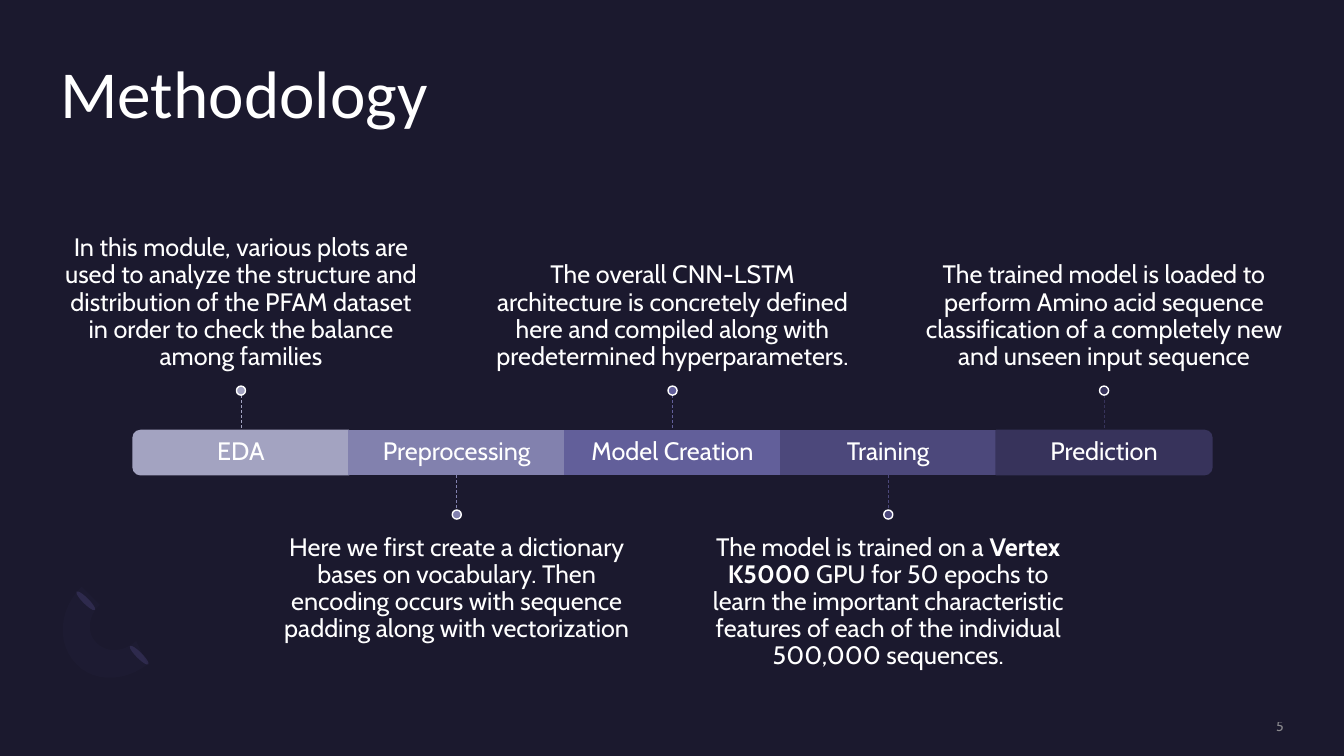
from dataclasses import dataclass
from typing import Any

from pptx import Presentation
from pptx import util as u
from pptx.dml import color as col
from pptx.enum import dml, shapes as sh, text as tx
from pptx.oxml import ns, xmlchemy as xc

INK = {
    "back": "1B192E", "text": "FFFFFF", "page": "A6A6A6",
    "petal": "2C284A", "arc": "7771B2",
    "eda": "A3A3C1", "prep": "8281AE", "model": "625F9A",
    "train": "4C487B", "pred": "37335B",
}
Point = tuple[float, float]
Box = tuple[float, float, float, float]
KIND = sh.MSO_SHAPE
LEFT, TOP, WIDE, HIGH = 1.32, 4.27, 2.14, 0.44
STEM, DOT = 0.35, 0.09
NOTE_W, NOTE_H = 3.57, 1.52
BODY = {"size": u.Pt(18), "name": "Cabin"}
HEAD = {"size": u.Pt(48), "name": "Calibri"}
PAGE = {"size": u.Pt(10), "name": "Cabin"}
MID = {"align": tx.PP_ALIGN.CENTER, "space": 0.9}


@dataclass
class Step:
    name: str
    ink: str
    note: list[str]
    above: bool
    kind: Any = KIND.RECTANGLE
    turn: int = 0


STEPS = [
    Step("EDA", "eda", [
        "In this module, various plots are used to analyze the structure and "
        "distribution of the PFAM dataset in order to check the balance among families"],
        True, KIND.ROUND_2_SAME_RECTANGLE, 270),
    Step("Preprocessing", "prep", [
        "Here we first create a dictionary bases on vocabulary. Then encoding "
        "occurs with sequence padding along with vectorization"], False),
    Step("Model Creation", "model", [
        "The overall CNN-LSTM architecture is concretely defined here and "
        "compiled along with predetermined hyperparameters."], True),
    Step("Training", "train", [
        "The model is trained on a ", "Vertex K5000",
        " GPU for 50 epochs to learn the important characteristic features of "
        "each of the individual 500,000 sequences."], False),
    Step("Prediction", "pred", [
        "The trained model is loaded to perform Amino acid sequence "
        "classification of a completely new and unseen input sequence"],
        True, KIND.ROUND_2_SAME_RECTANGLE, 90),
]


def tint(ink: str) -> col.RGBColor:
    return col.RGBColor.from_string(INK[ink])


def apply(item: Any, form: dict[str, Any]) -> None:
    for key, value in form.items():
        setattr(item, key, value)


def fade(shape: Any, share: int) -> None:
    for node in shape._element.iter(ns.qn("a:srgbClr")):
        xc.OxmlElement("a:alpha")
        alpha = node.makeelement(ns.qn("a:alpha"), {"val": str(share * 1000)})
        node.append(alpha)


def paint(shape: Any, fill: str, edge: str | None = None) -> None:
    shape.shadow.inherit = False
    shape.fill.solid()
    shape.fill.fore_color.rgb = tint(fill)
    if edge:
        shape.line.color.rgb = tint(edge)
        shape.line.width = u.Pt(1)
    else:
        shape.line.fill.background()


def block(slide: Any, kind: Any, box: Box, fill: str,
          edge: str | None = None, turn: int = 0) -> None:
    shape = slide.shapes.add_shape(kind, *map(u.Inches, box))
    shape.rotation = turn
    paint(shape, fill, edge)


def words(slide: Any, box: Box, parts: list[str], font: dict[str, Any],
          ink: str = "text", anchor: Any = tx.MSO_ANCHOR.MIDDLE,
          align: Any = tx.PP_ALIGN.CENTER, space: float = 0.9,
          pad: Point = (0, 0)) -> Any:
    shape = slide.shapes.add_textbox(*map(u.Inches, box))
    frame = shape.text_frame
    apply(frame, {
        "word_wrap": True, "vertical_anchor": anchor,
        "margin_left": 0, "margin_right": 0,
        "margin_top": u.Inches(pad[0]), "margin_bottom": u.Inches(pad[1]),
    })
    para = frame.paragraphs[0]
    apply(para, {"alignment": align, "line_spacing": space})
    for spot, part in enumerate(parts):
        run = para.add_run()
        run.text = part
        apply(run.font, font | {"bold": spot == 1})
        run.font.color.rgb = tint(ink)
    return shape


def stem(slide: Any, x: float, y: float, ink: str) -> None:
    line = slide.shapes.add_connector(
        sh.MSO_CONNECTOR.STRAIGHT, *map(u.Inches, (x, y, x, y + STEM)))
    line.line.color.rgb = tint(ink)
    apply(line.line, {"width": u.Pt(0.5), "dash_style": dml.MSO_LINE.DASH})
    line._element.spPr.append(xc.OxmlElement("a:effectLst"))


def curve(a: Point, b: Point, c: Point, d: Point) -> list[Point]:
    def blend(t: float, axis: int) -> float:
        s = 1 - t
        return (s**3 * a[axis] + 3 * s * s * t * b[axis]
                + 3 * s * t * t * c[axis] + t**3 * d[axis])
    return [(blend(i / 12, 0), blend(i / 12, 1)) for i in range(1, 13)]


def decor(slide: Any) -> None:
    for x, y in ((1.35, 6.37), (0.82, 5.83)):
        block(slide, KIND.OVAL, (x, y, 0.06, 0.26), "petal", turn=135)
    start = (0.76, 6.59)
    points = [
        *curve(start, (0.56, 6.39), (0.58, 6.05), (0.81, 5.82)),
        *curve((0.99, 6), (0.87, 6.11), (0.86, 6.29), (0.96, 6.38)),
        *curve((0.96, 6.38), (1.06, 6.48), (1.23, 6.47), (1.35, 6.36)),
        *curve((1.52, 6.54), (1.3, 6.76), (0.95, 6.79), start),
    ]
    points.insert(12, (0.99, 6))
    pen = slide.shapes.build_freeform(*map(u.Inches, start))
    pen.add_line_segments([(u.Inches(x), u.Inches(y)) for x, y in points])
    arc = pen.convert_to_shape()
    paint(arc, "arc")
    fade(arc, 3)


def draw(slide: Any, spot: int, step: Step) -> None:
    left = LEFT + spot * WIDE
    mid = left + WIDE / 2
    cell = (left, TOP, WIDE, HIGH)
    shape = cell
    if step.turn:
        shape = (mid - HIGH / 2, TOP + (HIGH - WIDE) / 2, HIGH, WIDE)
    block(slide, step.kind, shape, step.ink, step.ink, step.turn)
    words(slide, cell, [step.name], BODY)
    if step.above:
        note_y, stem_y, dot_y = 2.31, TOP - STEM, TOP - STEM - DOT
        anchor, pad = tx.MSO_ANCHOR.BOTTOM, (0, 0.15)
    else:
        stem_y = TOP + HIGH
        dot_y = stem_y + STEM
        note_y = dot_y + DOT
        anchor, pad = tx.MSO_ANCHOR.TOP, (0.15, 0)
    words(slide, (mid - NOTE_W / 2, note_y, NOTE_W, NOTE_H), step.note, BODY,
          anchor=anchor, pad=pad)
    stem(slide, mid, stem_y, step.ink)
    block(slide, KIND.OVAL, (mid - DOT / 2, dot_y, DOT, DOT), step.ink, "text")


def main() -> None:
    deck = Presentation()
    apply(deck, {"slide_width": u.Inches(13.33), "slide_height": u.Inches(7.5)})
    slide = deck.slides.add_slide(deck.slide_layouts[6])
    slide.background.fill.solid()
    slide.background.fill.fore_color.rgb = tint("back")
    decor(slide)
    words(slide, (0.6, 0.6, 12.13, 1.46), ["Methodology"], HEAD,
          anchor=tx.MSO_ANCHOR.TOP, align=tx.PP_ALIGN.LEFT)
    for spot, step in enumerate(STEPS):
        draw(slide, spot, step)
    page = words(slide, (10.88, 7.12, 1.85, 0.17), ["5"], PAGE, "page",
                 align=tx.PP_ALIGN.RIGHT, space=1.0)
    fade(page, 80)
    deck.save("out.pptx")


if __name__ == "__main__":
    main()
